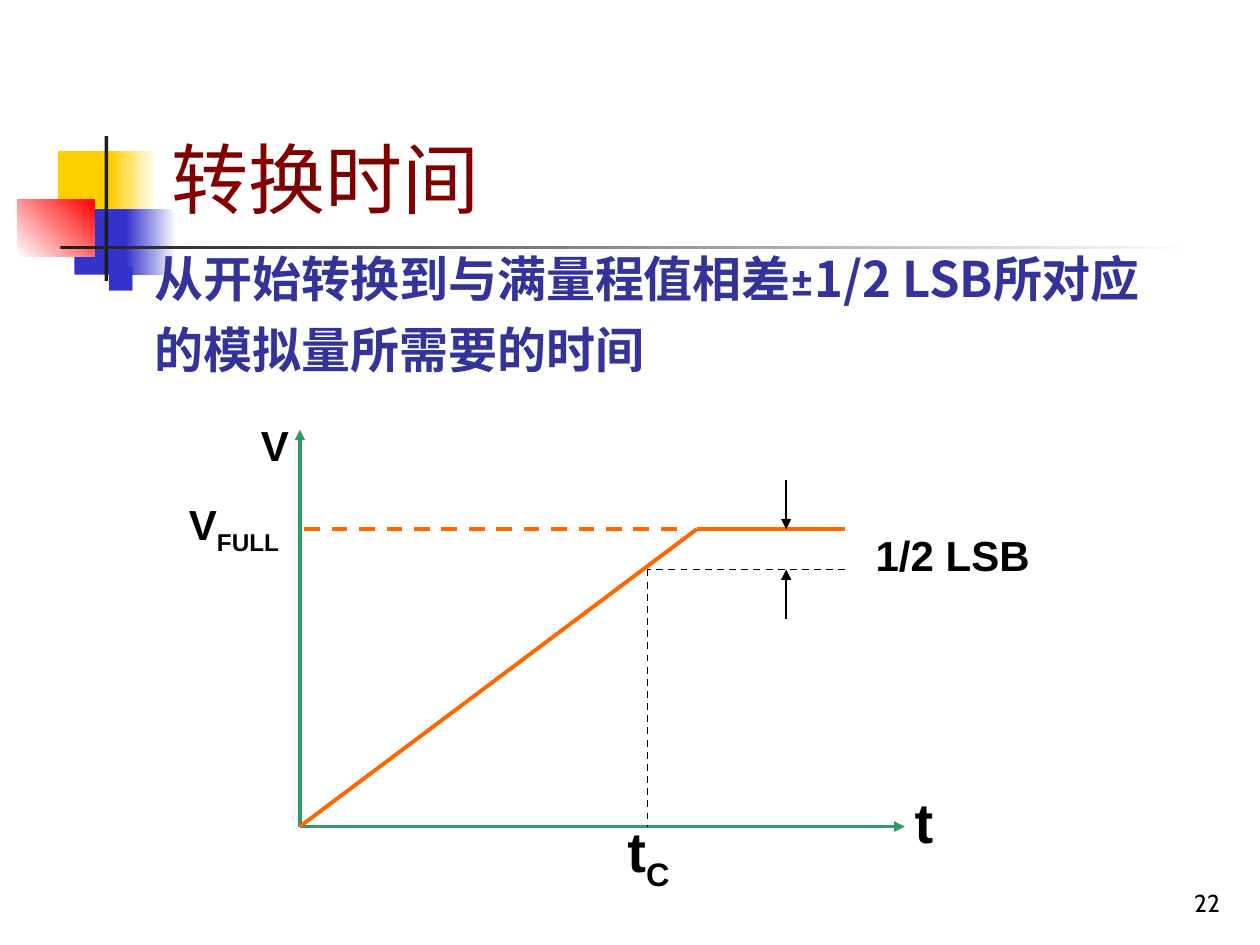
from pptx import Presentation
from pptx.dml.color import RGBColor
from pptx.enum.dml import MSO_LINE
from pptx.enum.shapes import MSO_CONNECTOR, MSO_SHAPE
from pptx.enum.text import MSO_ANCHOR, PP_ALIGN
from pptx.oxml.ns import qn
from pptx.util import Inches, Pt
from lxml import etree

RECT = MSO_SHAPE.RECTANGLE
LINE = MSO_CONNECTOR.STRAIGHT
DASH = MSO_LINE.DASH
LOW = MSO_ANCHOR.BOTTOM
LEFT, RIGHT = PP_ALIGN.LEFT, PP_ALIGN.RIGHT

WHITE = RGBColor(0xFF, 0xFF, 0xFF)
BLACK = RGBColor(0, 0, 0)
GOLD = RGBColor(0xFF, 0xCF, 0x01)
BLUE = RGBColor(0x33, 0x33, 0xCC)
RED = RGBColor(0xFF, 0, 0)
COAL = RGBColor(0x1C, 0x1C, 0x1C)
WINE = RGBColor(0x80, 0, 0)
NAVY = RGBColor(0x33, 0x33, 0x99)
GREEN = RGBColor(0x33, 0x99, 0x66)
AMBER = RGBColor(0xFF, 0x66, 0)

HEAD, LATIN, HAN = "Cabin", "Arial", "Noto Sans CJK SC"

ZERO, BASE = 2.38, 6.56
FULL, HALF = 4.2, 4.52
TIME, KNEE, MARK, STOP = 5.14, 5.53, 6.24, 6.71
ARM = 0.39


def add_xml(node, tag, **attrs):
    return etree.SubElement(node, qn(tag), attrs)


def add_block(slide, box, start, end=None, angle=0):
    block = slide.shapes.add_shape(RECT, *map(Inches, box))
    block.shadow.inherit = False
    block.line.fill.background()
    if end is None:
        block.fill.solid()
        block.fill.fore_color.rgb = start
        return
    block.fill.gradient()
    block.fill.gradient_angle = angle
    for stop, tint in zip(block.fill.gradient_stops, (start, end)):
        stop.color.rgb = tint


def add_line(slide, start, end, tint, width, dash=None, arrow=False):
    line = slide.shapes.add_connector(LINE, *map(Inches, start + end))
    line.line.color.rgb = tint
    line.line.width = Pt(width)
    if dash:
        line.line.dash_style = dash
    if arrow:
        add_xml(line.line._get_or_add_ln(), "a:tailEnd", type="triangle")
    add_xml(line.element.spPr, "a:effectLst")


def add_run(para, text, tint, **form):
    run = para.add_run()
    run.text = text
    for key, value in form.items():
        setattr(run.font, key, value)
    run.font.color.rgb = tint
    add_xml(run.font._element, "a:ea", typeface=HAN)
    return run


def add_box(slide, box, inset=True, wrap=True):
    frame = slide.shapes.add_textbox(*map(Inches, box)).text_frame
    frame.word_wrap = wrap
    if not inset:
        for side in ("left", "right", "top", "bottom"):
            setattr(frame, "margin_" + side, 0)
    return frame


def add_label(slide, box, text, size, sub=None):
    para = add_box(slide, box, inset=False, wrap=False).paragraphs[0]
    form = {"name": LATIN, "size": Pt(size), "bold": True}
    add_run(para, text, BLACK, **form)
    if sub:
        run = add_run(para, sub, BLACK, **form)
        run.font._element.set("baseline", "-25000")


def add_decor(slide):
    add_block(slide, (0.46, 1.2, 0.48, 0.52), GOLD)
    add_block(slide, (0.88, 1.2, 0.36, 0.52), GOLD, WHITE)
    add_block(slide, (0.59, 1.66, 0.46, 0.52), BLUE)
    add_block(slide, (1, 1.66, 0.4, 0.52), BLUE, WHITE)
    add_block(slide, (0.14, 1.58, 0.61, 0.46), WHITE, RED, 45)
    add_block(slide, (0.83, 1.08, 0.03, 1.15), COAL)
    add_block(slide, (0.48, 1.95, 9, 0.03), COAL, WHITE)


def add_title(slide, text):
    title = slide.shapes.title
    box = {"left": 1.26, "top": 0.23, "width": 8.52, "height": 1.6}
    for key, value in box.items():
        setattr(title, key, Inches(value))
    title.text_frame.vertical_anchor = LOW
    para = title.text_frame.paragraphs[0]
    para.alignment = LEFT
    add_run(para, text, WINE, name=HEAD, size=Pt(44))
    title.element.getparent().append(title.element)


def add_body(slide):
    para = add_box(slide, (0.75, 1.83, 8.5, 1.5)).paragraphs[0]
    para.line_spacing = 1.2
    para.space_after = Pt(1.8)
    props = para._p.get_or_add_pPr()
    props.set("marL", str(Inches(0.38)))
    props.set("indent", str(Inches(-0.38)))
    tint = add_xml(props, "a:buClr")
    add_xml(tint, "a:srgbClr", val=str(BLUE))
    add_xml(props, "a:buSzPct", val="60000")
    add_xml(props, "a:buFont", typeface=HAN)
    add_xml(props, "a:buChar", char="■")
    form = {"size": Pt(28), "bold": True}
    add_run(para, "从开始转换到与满量程值相差±", NAVY, name=HEAD, **form)
    add_run(para, "1/2 LSB所对应的模拟量所需要的时间", NAVY, name=HAN, **form)


def add_number(slide, text):
    frame = add_box(slide, (7.7, 6.83, 2.08, 0.5))
    frame.vertical_anchor = LOW
    para = frame.paragraphs[0]
    para.alignment = RIGHT
    add_run(para, text, BLACK, name=HEAD, size=Pt(14))


def add_graph(slide):
    zero = (ZERO, BASE)
    for end in ((ZERO, 3.41), (7.18, BASE)):
        add_line(slide, zero, end, GREEN, 2, arrow=True)
    add_line(slide, (5.37, FULL), (ZERO, FULL), AMBER, 2.25, DASH)
    add_line(slide, (KNEE, FULL), zero, AMBER, 2.25)
    add_line(slide, (STOP, FULL), (KNEE, FULL), AMBER, 2.25)
    for start, end in (((TIME, HALF), (TIME, BASE)),
                       ((STOP, HALF), (TIME, HALF))):
        add_line(slide, start, end, BLACK, 1, DASH)
    for level, shift in ((FULL, -ARM), (HALF, ARM)):
        add_line(slide, (MARK, level + shift), (MARK, level), BLACK, 1,
                 arrow=True)
    add_label(slide, (7.26, 6.25, 0.24, 0.53), "t", 32)
    add_label(slide, (2.07, 3.33, 0.31, 0.4), "V", 24)
    add_label(slide, (6.95, 4.2, 1.34, 0.4), "1/2 LSB", 24)
    add_label(slide, (4.98, 6.48, 0.47, 0.61), "t", 32, "C")
    add_label(slide, (1.5, 3.96, 0.87, 0.46), "V", 24, "FULL")


def main():
    deck = Presentation()
    deck.slide_width, deck.slide_height = Inches(10), Inches(7.5)
    slide = deck.slides.add_slide(deck.slide_layouts[5])
    add_decor(slide)
    add_number(slide, "22")
    add_title(slide, "转换时间")
    add_body(slide)
    add_graph(slide)
    deck.save("out.pptx")


if __name__ == "__main__":
    main()
